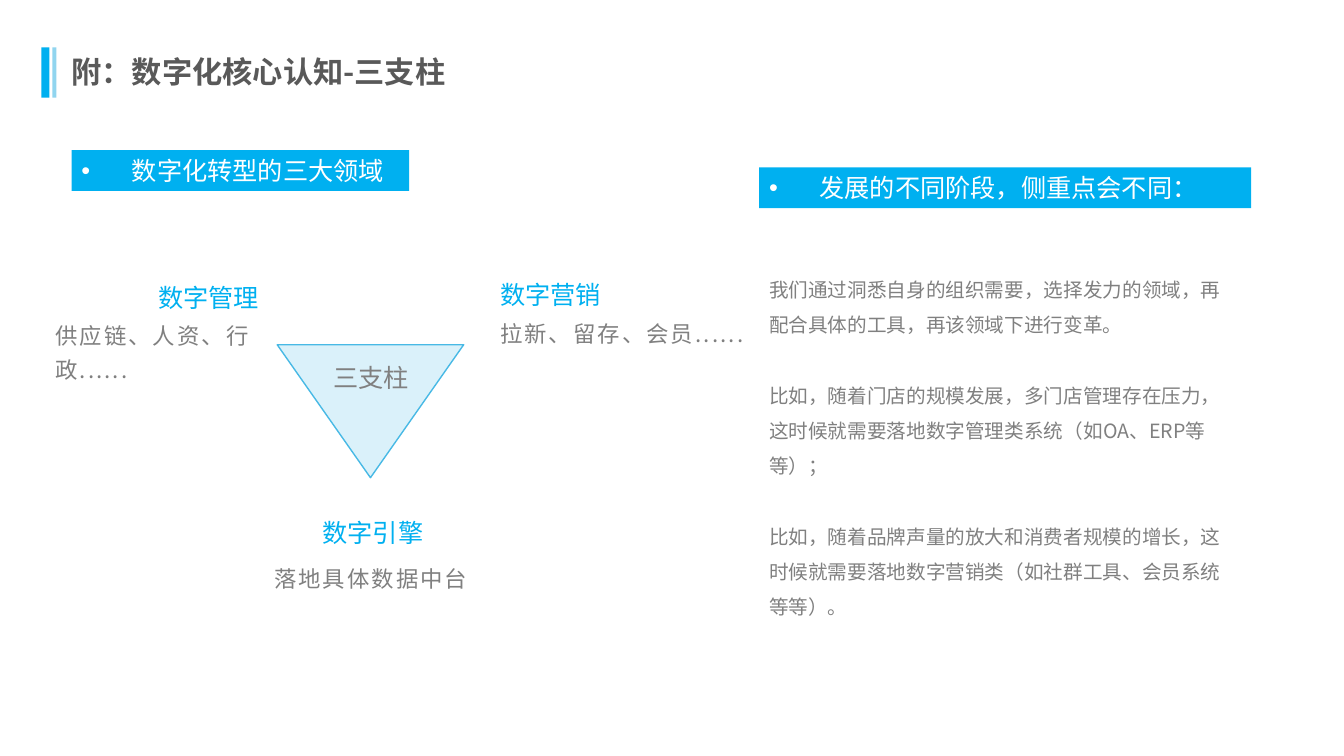
from lxml import etree
from pptx import Presentation
from pptx.dml.color import RGBColor
from pptx.enum import shapes, text
from pptx.oxml import ns
from pptx.util import Pt

FONT = "Noto Sans CJK SC"
BLUE = RGBColor(0x00, 0xB0, 0xF0)
LIGHT_BLUE = RGBColor(0x91, 0xD5, 0xEF)
PALE_BLUE = RGBColor(0xDA, 0xF1, 0xFA)
OUTLINE_BLUE = RGBColor(0x48, 0xB9, 0xE5)
WHITE = RGBColor(0xFF, 0xFF, 0xFF)
GRAY = RGBColor(0x80, 0x80, 0x80)
DARK_GRAY = RGBColor(0x59, 0x59, 0x59)
LEFT, CENTER, JUSTIFY = text.PP_ALIGN.LEFT, text.PP_ALIGN.CENTER, text.PP_ALIGN.JUSTIFY
TOP, MIDDLE = text.MSO_ANCHOR.TOP, text.MSO_ANCHOR.MIDDLE

presentation = Presentation()
presentation.slide_width, presentation.slide_height = Pt(960), Pt(540)
slide = presentation.slides.add_slide(presentation.slide_layouts[6])


def add_shape(kind, left, top, width, height, fill, line=None):
    shape = slide.shapes.add_shape(kind, Pt(left), Pt(top), Pt(width), Pt(height))
    shape.shadow.inherit = False
    shape.fill.solid()
    shape.fill.fore_color.rgb = fill
    if line is None:
        shape.line.fill.background()
    else:
        shape.line.color.rgb = line
        shape.line.width = Pt(1)
    return shape


def add_text(content, box=None, shape=None, size=18, color=GRAY, bold=False, align=LEFT,
             anchor=MIDDLE, inset=(7.2, 3.6), line_spacing=None, tracking=0, gap=0,
             bullet=False, wrap=True):
    """Write one paragraph per line of content in a new box or in a given shape."""
    shape = shape or slide.shapes.add_textbox(*[Pt(length) for length in box])
    frame = shape.text_frame
    frame.word_wrap = wrap
    frame.vertical_anchor = anchor
    frame.margin_left = frame.margin_right = Pt(inset[0])
    frame.margin_top = frame.margin_bottom = Pt(inset[1])
    for index, line in enumerate(content.split("\n")):
        paragraph = frame.paragraphs[0] if index == 0 else frame.add_paragraph()
        paragraph.alignment = align
        if line_spacing:
            paragraph.line_spacing = line_spacing
        if index and gap:
            paragraph.space_before = Pt(gap)
        if bullet:
            properties = paragraph._p.get_or_add_pPr()
            properties.set("marL", str(Pt(36)))
            properties.set("indent", str(-Pt(36)))
            etree.SubElement(properties, ns.qn("a:buFont")).set("typeface", "Arial")
            etree.SubElement(properties, ns.qn("a:buChar")).set("char", "•")
        run = paragraph.add_run()
        run.text = line
        run.font.name = FONT
        run.font.size = Pt(size)
        run.font.bold = bold
        run.font.color.rgb = color
        run_properties = run._r.get_or_add_rPr()
        etree.SubElement(run_properties, ns.qn("a:ea")).set("typeface", FONT)
        if tracking:
            run_properties.set("spc", str(int(tracking * 100)))


# Title with its two accent bars
RECTANGLE = shapes.MSO_SHAPE.RECTANGLE
add_shape(RECTANGLE, 37.4, 33.8, 3, 36, LIGHT_BLUE)
add_shape(RECTANGLE, 29.5, 33.8, 5.8, 36, BLUE)
add_text("附：数字化核心认知-三支柱", box=(43.9, 33.8, 738.7, 34.6), size=21.6,
         color=DARK_GRAY, bold=True)

# Section banners
for heading, left, top, width, align in [
    ("数字化转型的三大领域", 51.1, 107.3, 241.2, LEFT),
    ("发展的不同阶段，侧重点会不同：", 542.2, 119.5, 351.4, JUSTIFY),
]:
    banner = add_shape(RECTANGLE, left, top, width, 29.1, BLUE)
    add_text(heading, shape=banner, color=WHITE, align=align, bullet=True)

# Inverted triangle and its label
triangle = add_shape(shapes.MSO_SHAPE.ISOSCELES_TRIANGLE, 198, 246.2, 133.2, 95,
                     PALE_BLUE, OUTLINE_BLUE)
triangle.rotation = 180
SMALL_INSET = (5.8, 5.8)
add_text("三支柱", box=(223.2, 253.4, 83.5, 33.1), align=CENTER, inset=SMALL_INSET)

# Pillar names
for name, left, top, width in [
    ("数字管理", 107.3, 195.8, 115.9),
    ("数字营销", 351.4, 193.7, 120.2),
    ("数字引擎", 224.6, 363.6, 127.4),
]:
    add_text(name, box=(left, top, width, 33.1), color=BLUE, inset=SMALL_INSET)

# Pillar details
detail = dict(size=16, line_spacing=1.25, tracking=1.5)
add_text("供应链、人资、行政......", box=(33.8, 219.6, 154.1, 59.8), inset=SMALL_INSET, **detail)
add_text("拉新、留存、会员......", box=(351.4, 218.2, 224.6, 35.3), inset=SMALL_INSET, **detail)
add_text("落地具体数据中台", box=(187.9, 395.3, 154.1, 31.7), align=CENTER, wrap=False, **detail)

# Explanation of the stages
add_text(
    "我们通过洞悉自身的组织需要，选择发力的领域，再配合具体的工具，再该领域下进行变革。\n"
    "比如，随着门店的规模发展，多门店管理存在压力，这时候就需要落地数字管理类系统（如OA、ERP等等）；\n"
    "比如，随着品牌声量的放大和消费者规模的增长，这时候就需要落地数字营销类（如社群工具、会员系统等等）。",
    box=(542.2, 186.5, 344.9, 261.4), size=14, anchor=TOP, line_spacing=1.5, gap=25.2)

presentation.save("out.pptx")
